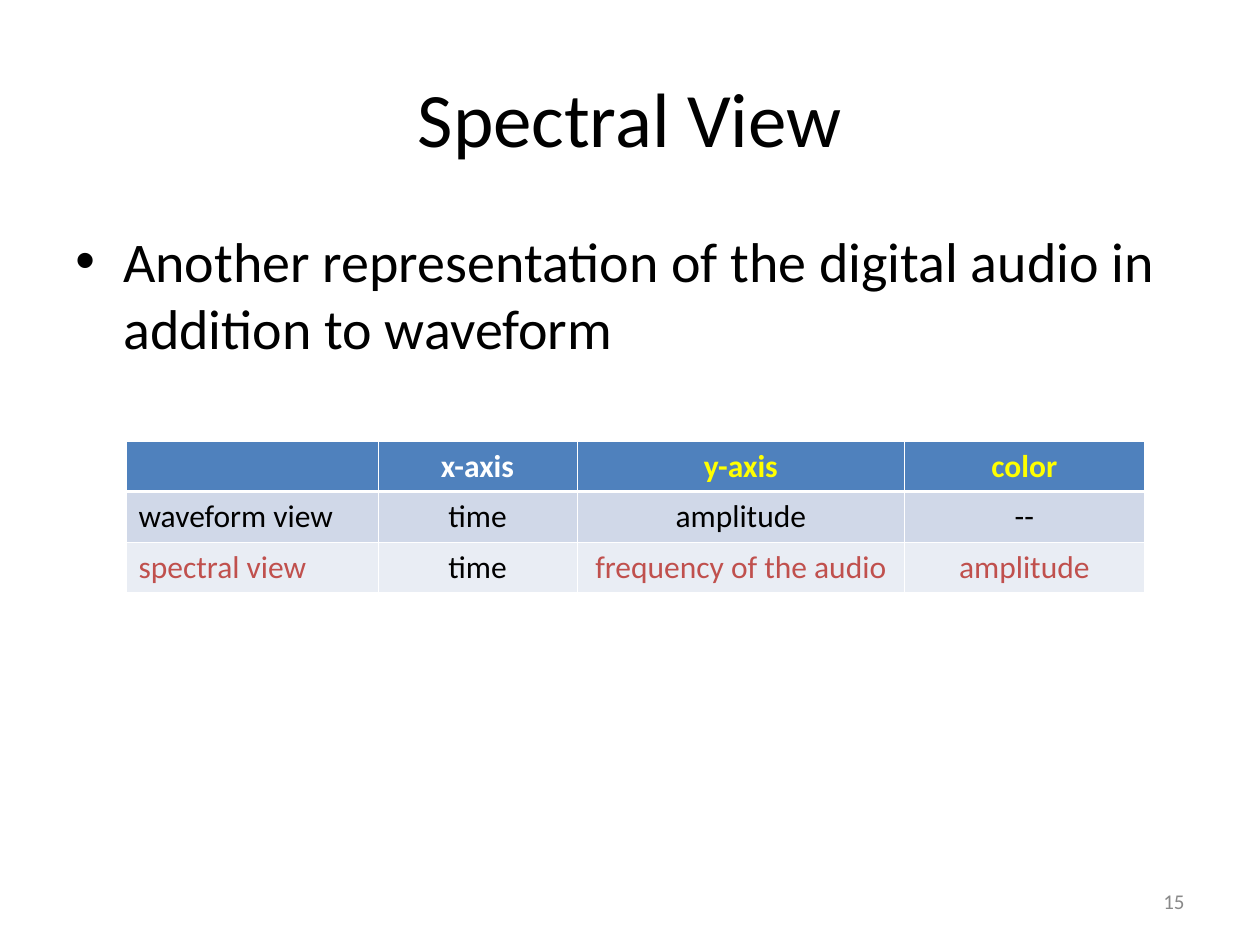
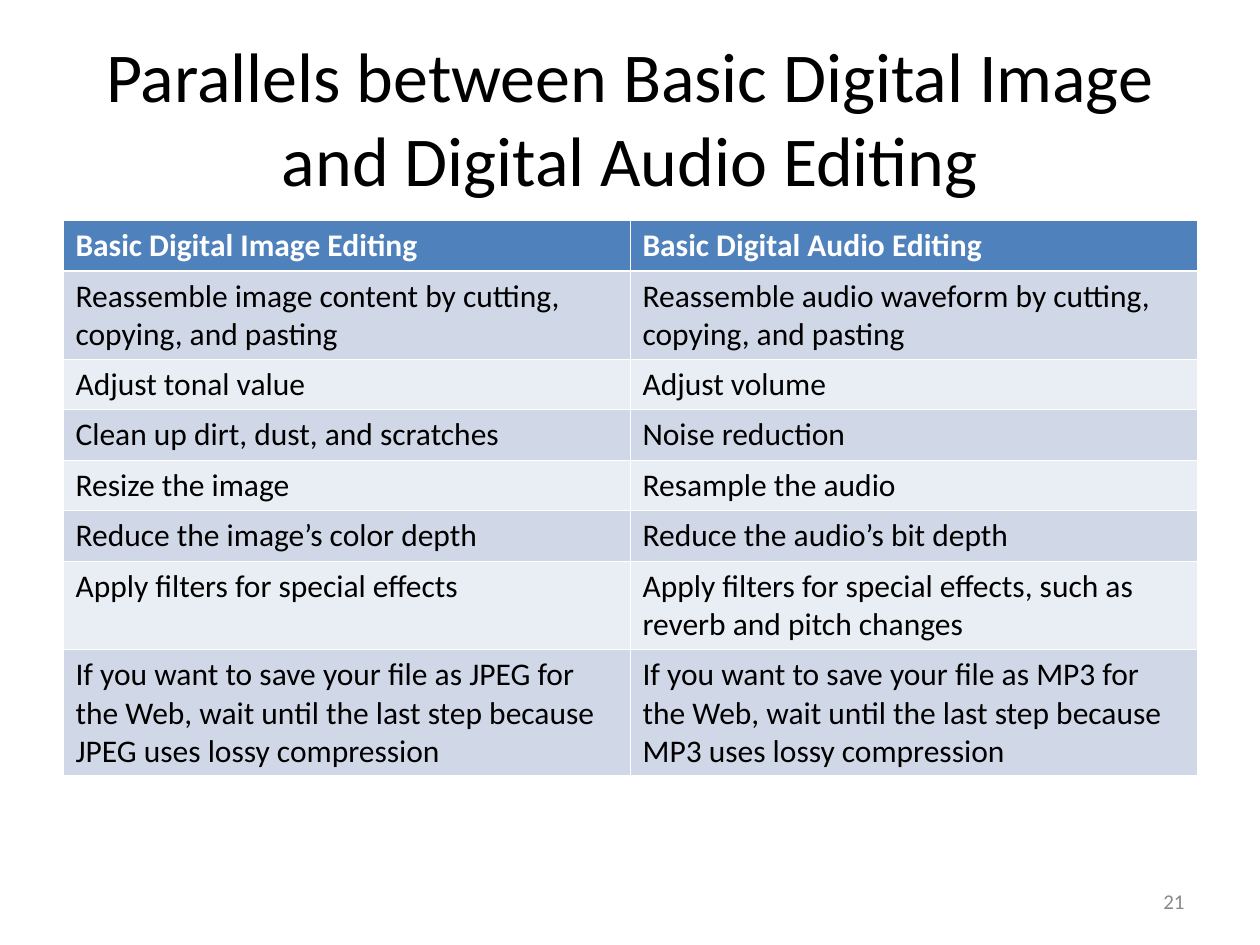
import pptx
import pptx.dml.color
import pptx.enum.text
import pptx.oxml.ns
import pptx.util
from lxml import etree

Inches = pptx.util.Inches
Pt = pptx.util.Pt
RGBColor = pptx.dml.color.RGBColor
ALIGN = pptx.enum.text.PP_ALIGN
ANCHOR = pptx.enum.text.MSO_ANCHOR

FONT = "Calibri"
BLACK = RGBColor(0x00, 0x00, 0x00)
WHITE = RGBColor(0xFF, 0xFF, 0xFF)
GRAY = RGBColor(0x89, 0x89, 0x89)
YELLOW = RGBColor(0xFF, 0xFF, 0x00)
RED = RGBColor(0xC0, 0x50, 0x4D)
HEADER_BLUE = RGBColor(0x4F, 0x81, 0xBD)
BANDS = (RGBColor(0xE9, 0xED, 0xF4), RGBColor(0xD0, 0xD8, 0xE8))

THIN = 0.45
THICK = 1.47
LINE_HEIGHT = 0.3
CELL_PADDING = 0.1

VIEWS = [
    ["", "x-axis", "y-axis", "color"],
    ["waveform view", "time", "amplitude", "--"],
    ["spectral view", "time", "frequency of the audio", "amplitude"],
]
VIEW_HIGHLIGHTS = {
    (0, 2): YELLOW, (0, 3): YELLOW,
    (2, 0): RED, (2, 2): RED, (2, 3): RED,
}
PARALLELS = [
    ["Basic Digital Image Editing", "Basic Digital Audio Editing"],
    ["Reassemble image content by cutting, copying, and pasting",
     "Reassemble audio waveform by cutting, copying, and pasting"],
    ["Adjust tonal value", "Adjust volume"],
    ["Clean up dirt, dust, and scratches", "Noise reduction"],
    ["Resize the image", "Resample the audio"],
    ["Reduce the image’s color depth", "Reduce the audio’s bit depth"],
    ["Apply filters for special effects",
     "Apply filters for special effects, such as reverb and pitch changes"],
    ["If you want to save your file as JPEG for the Web, wait until the last step "
     "because JPEG uses lossy compression",
     "If you want to save your file as MP3 for the Web, wait until the last step "
     "because MP3 uses lossy compression"],
]


def style_paragraph(paragraph, size, color, align=ALIGN.LEFT, bold=False):
    paragraph.alignment = align
    font = paragraph.font
    font.name = FONT
    font.size = Pt(size)
    font.bold = bold
    font.color.rgb = color


def add_text(slide, text, left, top, width, height, size, color=BLACK,
             align=ALIGN.LEFT, anchor=ANCHOR.MIDDLE, bullet=False):
    box = slide.shapes.add_textbox(
        Inches(left), Inches(top), Inches(width), Inches(height))
    frame = box.text_frame
    frame.word_wrap = True
    frame.vertical_anchor = anchor
    paragraph = frame.paragraphs[0]
    paragraph.text = text
    if bullet:
        add_bullet(paragraph)
    style_paragraph(paragraph, size, color, align)


def add_bullet(paragraph):
    properties = paragraph._p.get_or_add_pPr()
    properties.set("marL", str(Inches(0.38)))
    properties.set("indent", str(Inches(-0.38)))
    font = etree.SubElement(properties, pptx.oxml.ns.qn("a:buFont"))
    font.set("typeface", "Arial")
    character = etree.SubElement(properties, pptx.oxml.ns.qn("a:buChar"))
    character.set("char", "•")


def add_title(slide, text, size):
    add_text(slide, text, 0.5, 0.3, 9, 1.25, size, align=ALIGN.CENTER)


def add_slide_number(slide, number):
    add_text(slide, str(number), 7.17, 6.95, 2.33, 0.4, 12, GRAY, ALIGN.RIGHT)


def set_borders(cell, top, bottom):
    properties = cell._tc.get_or_add_tcPr()
    widths = {"a:lnL": THIN, "a:lnR": THIN, "a:lnT": top, "a:lnB": bottom}
    for tag, width in widths.items():
        line = etree.SubElement(properties, pptx.oxml.ns.qn(tag))
        line.set("w", str(Pt(width)))
        fill = etree.SubElement(line, pptx.oxml.ns.qn("a:solidFill"))
        color = etree.SubElement(fill, pptx.oxml.ns.qn("a:srgbClr"))
        color.set("val", str(WHITE))


def style_cell(cell, text, row, color, align):
    header = row == 0
    set_borders(cell, THICK if row == 1 else THIN, THICK if header else THIN)
    cell.fill.solid()
    cell.fill.fore_color.rgb = HEADER_BLUE if header else BANDS[row % 2]
    cell.text = text
    style_paragraph(cell.text_frame.paragraphs[0], 18, color, align, header)


def add_banded_table(slide, rows, left, top, column_widths, line_counts,
                     highlights=None, center_values=False):
    highlights = highlights or {}
    heights = [CELL_PADDING + LINE_HEIGHT * count for count in line_counts]
    table = slide.shapes.add_table(
        len(rows), len(column_widths), Inches(left), Inches(top),
        Inches(sum(column_widths)), Inches(sum(heights))).table
    for column, width in zip(table.columns, column_widths):
        column.width = Inches(width)
    for row_index, (values, height) in enumerate(zip(rows, heights)):
        table.rows[row_index].height = Inches(height)
        default_color = WHITE if row_index == 0 else BLACK
        for column_index, text in enumerate(values):
            color = highlights.get((row_index, column_index), default_color)
            centered = center_values and column_index > 0
            style_cell(table.cell(row_index, column_index), text, row_index,
                       color, ALIGN.CENTER if centered else ALIGN.LEFT)


def add_spectral_view_slide(presentation):
    slide = presentation.slides.add_slide(presentation.slide_layouts[6])
    add_title(slide, "Spectral View", 44)
    add_text(slide,
             "Another representation of the digital audio in addition to waveform",
             0.5, 1.75, 9, 4.95, 32, anchor=ANCHOR.TOP, bullet=True)
    add_slide_number(slide, 15)
    add_banded_table(slide, VIEWS, 1, 3.5, [2, 1.58, 2.6, 1.9], [1] * 3,
                     VIEW_HIGHLIGHTS, center_values=True)


def add_parallels_slide(presentation):
    slide = presentation.slides.add_slide(presentation.slide_layouts[6])
    add_title(slide,
              "Parallels between Basic Digital Image and Digital Audio Editing", 40)
    add_banded_table(slide, PARALLELS, 0.5, 1.75, [4.5, 4.5],
                     [1, 2, 1, 1, 1, 1, 2, 3])
    add_slide_number(slide, 21)


def main():
    presentation = pptx.Presentation()
    presentation.slide_width = Inches(10)
    presentation.slide_height = Inches(7.5)
    add_spectral_view_slide(presentation)
    add_parallels_slide(presentation)
    presentation.save("out.pptx")


if __name__ == "__main__":
    main()
